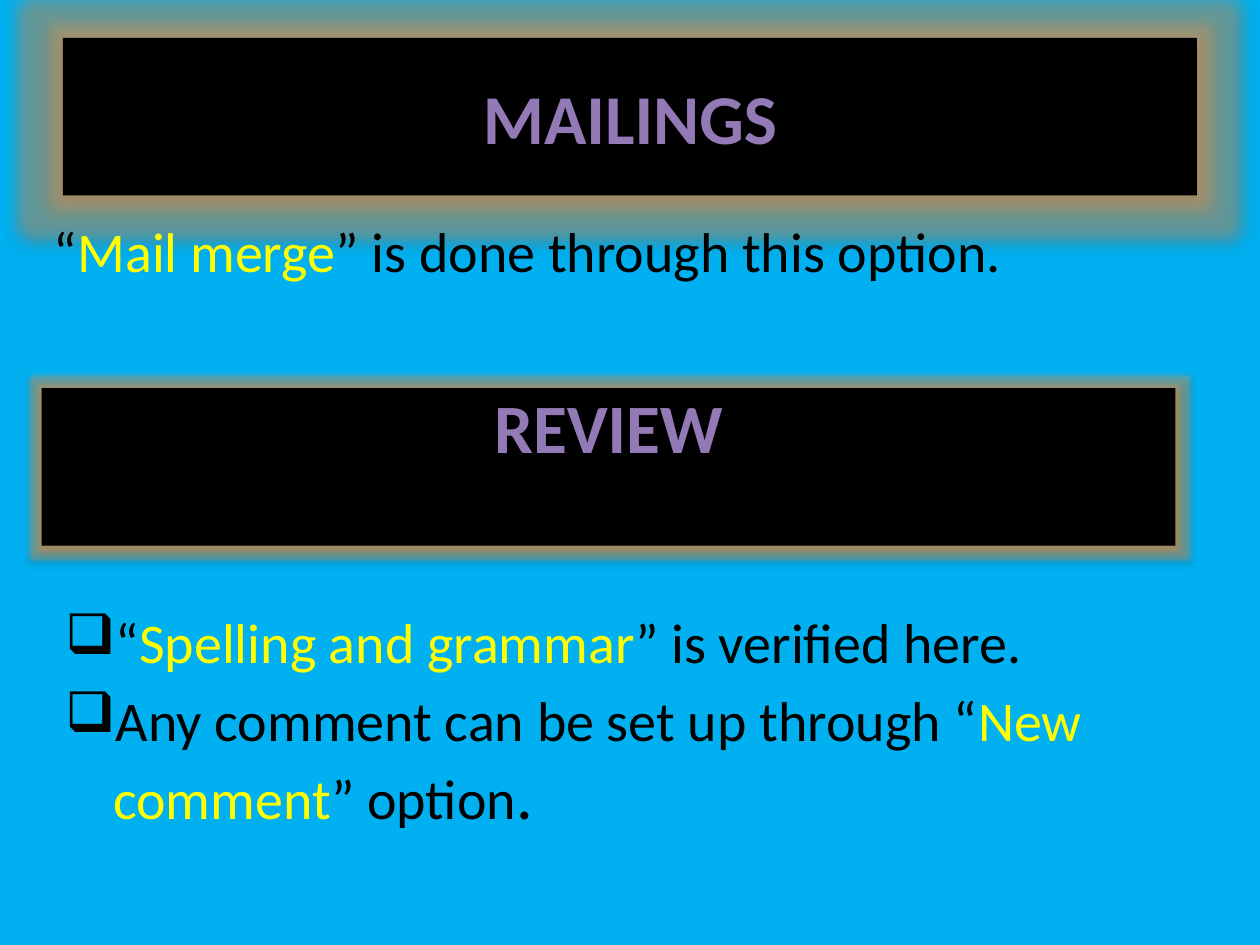
from lxml import etree
from pptx import Presentation
from pptx.dml.color import RGBColor
from pptx.enum.shapes import MSO_SHAPE
from pptx.enum.text import MSO_ANCHOR, PP_ALIGN
from pptx.oxml.ns import qn
from pptx.util import Inches, Pt

RECTANGLE = MSO_SHAPE.RECTANGLE
MIDDLE = MSO_ANCHOR.MIDDLE
CENTER = PP_ALIGN.CENTER

FONT = "Calibri"
BULLET_FONT = "Wingdings"
BODY_SIZE = 32
COLORS = {
    "background": "00B0F0",
    "banner": "000000",
    "heading": "9379B5",
    "text": "000000",
    "keyword": "FFFF00",
    "glow": "F79646",
}


def color(name):
    return RGBColor.from_string(COLORS[name])


def format_span(span, size, color_name, bold=False):
    span.font.name = FONT
    span.font.size = Pt(size)
    span.font.bold = bold
    span.font.color.rgb = color(color_name)


def add_tinted(parent, hex_color, alpha):
    tint = etree.SubElement(parent, qn("a:srgbClr"), val=hex_color)
    etree.SubElement(tint, qn("a:alpha"), val=str(alpha * 1000))


def add_glow_and_shadow(shape, radius):
    shape.shadow.inherit = False
    effects = shape._element.spPr.find(qn("a:effectLst"))
    glow = etree.SubElement(effects, qn("a:glow"), rad=str(Pt(radius)))
    add_tinted(glow, COLORS["glow"], 40)
    shadow = etree.SubElement(
        effects, qn("a:outerShdw"), blurRad=str(Pt(3.1)),
        dist=str(Pt(1.8)), dir="5400000", rotWithShape="0")
    add_tinted(shadow, COLORS["banner"], 35)


def add_banner(page, left, top, title, size, glow_radius):
    banner = page.shapes.add_shape(
        RECTANGLE, Inches(left), Inches(top), Inches(9), Inches(1.25))
    banner.fill.solid()
    banner.fill.fore_color.rgb = color("banner")
    banner.line.fill.background()
    add_glow_and_shadow(banner, glow_radius)
    frame = banner.text_frame
    frame.word_wrap = True
    frame.vertical_anchor = MIDDLE
    frame.text = title
    para = frame.paragraphs[0]
    para.alignment = CENTER
    para.font.size = Pt(size)
    for span in para.runs:
        format_span(span, size, "heading", True)
    for line_break in para._p.findall(qn("a:br")):
        etree.SubElement(line_break, qn("a:rPr"), sz=str(int(size * 100)))


def set_layout(para, bullet):
    properties = para._p.get_or_add_pPr()
    properties.set("marL", str(Inches(0.38)))
    properties.set("indent", str(Inches(-0.38)))
    para.space_before = Pt(BODY_SIZE * 0.2)
    if bullet:
        etree.SubElement(properties, qn("a:buFont"), typeface=BULLET_FONT,
                         pitchFamily="2", charset="2")
        etree.SubElement(properties, qn("a:buChar"), char=bullet)
    else:
        etree.SubElement(properties, qn("a:buNone"))


def add_body(page, left, top, height, lines, bullet=None):
    box = page.shapes.add_textbox(
        Inches(left), Inches(top), Inches(9), Inches(height))
    frame = box.text_frame
    frame.word_wrap = True
    for index, spans in enumerate(lines):
        para = frame.add_paragraph() if index else frame.paragraphs[0]
        set_layout(para, bullet)
        for text, color_name, size in spans:
            span = para.add_run()
            span.text = text
            format_span(span, size, color_name)


def plain(text, size=BODY_SIZE):
    return text, "text", size


def keyword(text):
    return text, "keyword", BODY_SIZE


def main():
    deck = Presentation()
    deck.slide_width = Inches(10)
    deck.slide_height = Inches(7.5)
    page = deck.slides.add_slide(deck.slide_layouts[6])
    page.background.fill.solid()
    page.background.fill.fore_color.rgb = color("background")

    add_banner(page, 0.5, 0.3, "MAILINGS", 40, 18)
    add_banner(page, 0.33, 3.08, "REVIEW\v", 39.6, 5)
    add_body(page, 0.33, 1.67, 0.7, [
        [plain("“"), keyword("Mail merge"),
         plain("” is done through this option.")],
    ])
    add_body(page, 0.42, 4.77, 2.2, [
        [plain("“"), keyword("Spelling and grammar"),
         plain("” is verified here.")],
        [plain("Any comment can be set up through “"),
         keyword("New comment"), plain("” option"), plain(".", 38)],
    ], "q")

    deck.save("out.pptx")


main()
